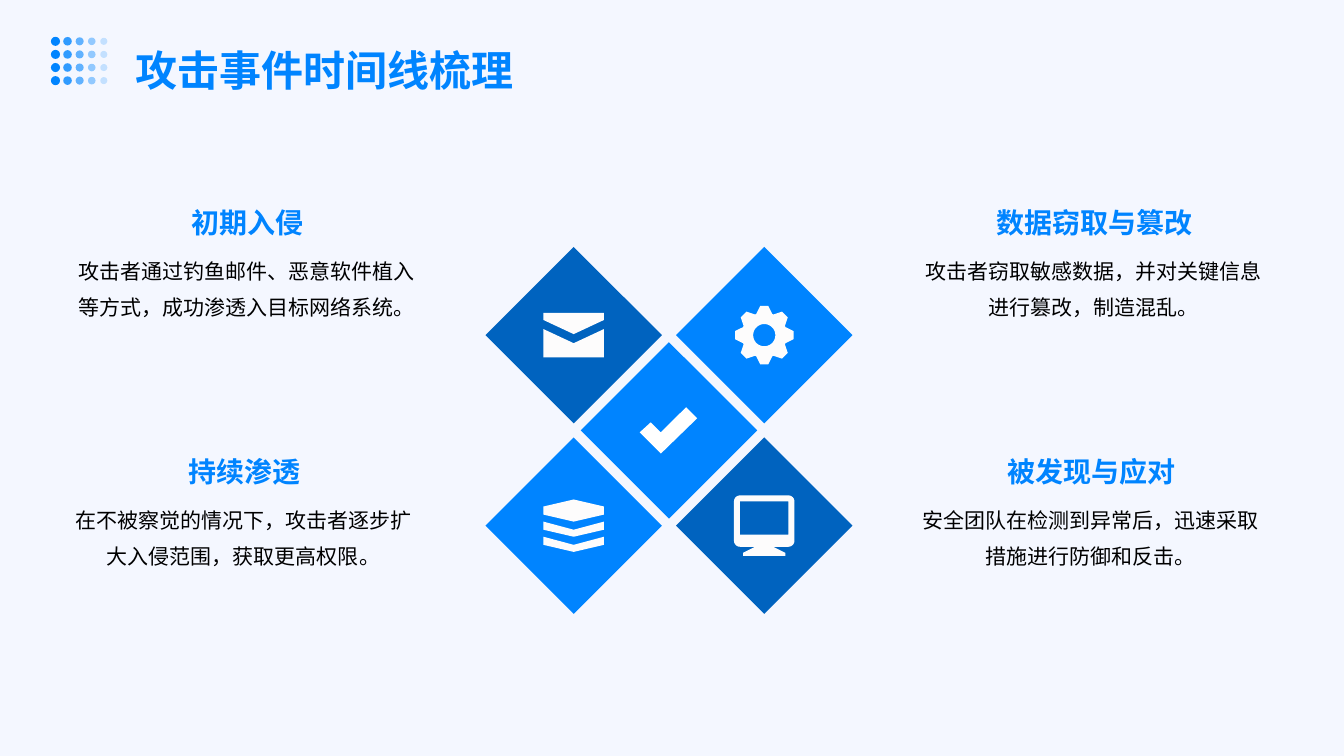
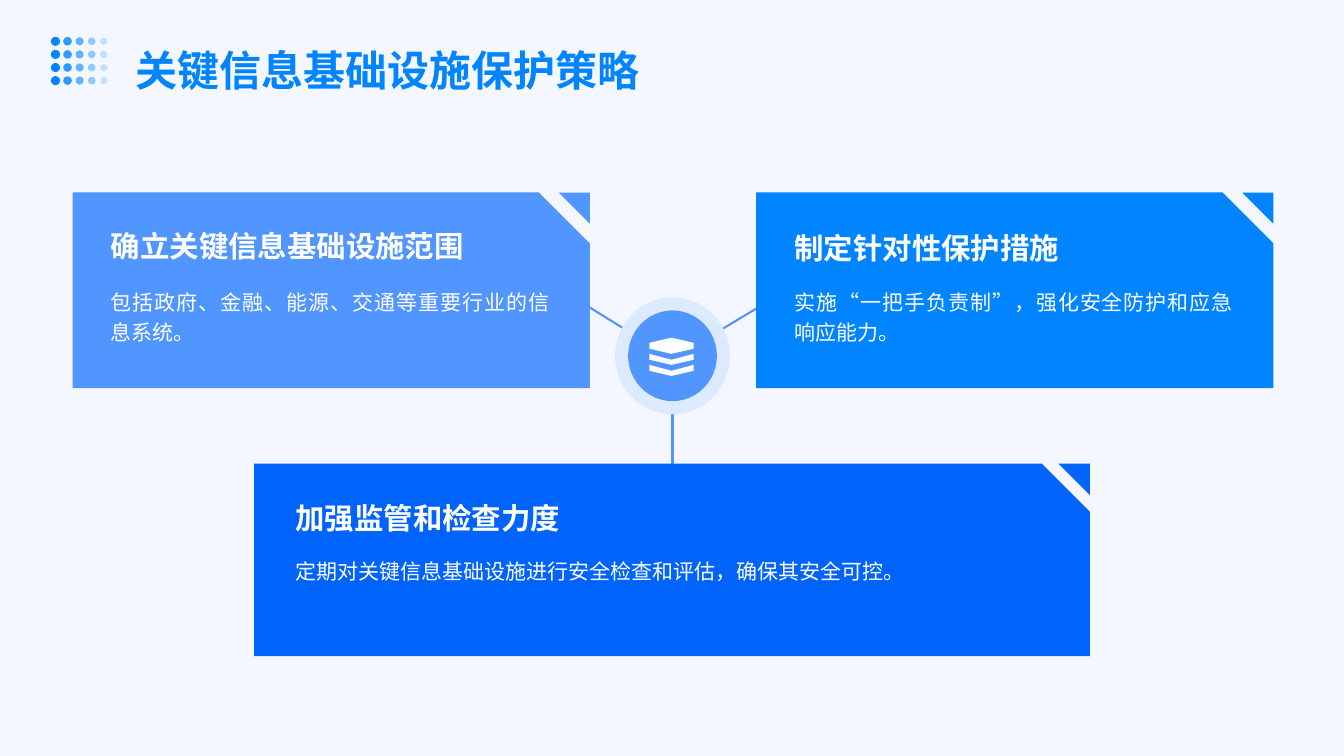
import math

import lxml.etree
import pptx
import pptx.dml.color
import pptx.enum.shapes
import pptx.enum.text
import pptx.oxml.ns
import pptx.util

Inches = pptx.util.Inches
SHAPE = pptx.enum.shapes.MSO_SHAPE
ALIGN = pptx.enum.text.PP_ALIGN
ANCHOR = pptx.enum.text.MSO_ANCHOR
qn = pptx.oxml.ns.qn

FONT = "Noto Sans CJK SC"
BACKGROUND = "F4F7FF"
BLUE = "0084FF"
DARK_BLUE = "0063BF"
LIGHT_BLUE = "5196FF"
DEEP_BLUE = "0064FC"
PALE_BLUE = "DCEAFF"
WHITE = "FFFFFF"
OFF_WHITE = "FDFCFC"
BLACK = "000000"
CARD_INSETS = (0.12, 0.06, 0.12, 0.06)


def rgb(color):
    return pptx.dml.color.RGBColor.from_string(color)


def paint(sp, color, alpha=100):
    sp.shadow.inherit = False
    sp.fill.solid()
    sp.fill.fore_color.rgb = rgb(color)
    sp.line.fill.background()
    if alpha < 100:
        clr = sp.fill._xPr.find(qn("a:solidFill"))[0]
        lxml.etree.SubElement(clr, qn("a:alpha")).set("val", str(alpha * 1000))


def add_shape(shapes, kind, x, y, w, h, color, alpha=100):
    sp = shapes.add_shape(kind, Inches(x), Inches(y), Inches(w), Inches(h))
    paint(sp, color, alpha)
    return sp


def add_centred(shapes, kind, cx, cy, w, h, color, alpha=100):
    return add_shape(shapes, kind, cx - w / 2, cy - h / 2, w, h, color, alpha)


def add_text(shapes, text, x, y, w, h, size=15, color=BLACK, bold=False,
             align=ALIGN.LEFT, anchor=ANCHOR.TOP, spacing=1.2,
             insets=(0.1, 0.05, 0.1, 0.05), grow=False):
    sp = shapes.add_textbox(Inches(x), Inches(y), Inches(w), Inches(h))
    tf = sp.text_frame
    tf.word_wrap = True
    tf.vertical_anchor = anchor
    if grow:
        tf.auto_size = pptx.enum.text.MSO_AUTO_SIZE.SHAPE_TO_FIT_TEXT
    tf.margin_left, tf.margin_top, tf.margin_right, tf.margin_bottom = map(Inches, insets)
    p = tf.paragraphs[0]
    p.alignment = align
    p.line_spacing = spacing
    r = p.add_run()
    r.text = text
    r.font.size = pptx.util.Pt(size)
    r.font.bold = bold
    r.font.color.rgb = rgb(color)
    r.font.name = FONT
    rPr = r._r.get_or_add_rPr()
    rPr.set("lang", "zh-CN")
    lxml.etree.SubElement(rPr, qn("a:ea")).set("typeface", FONT)


def add_line(s, start, end):
    line = s.shapes.add_connector(
        pptx.enum.shapes.MSO_CONNECTOR.STRAIGHT, *map(Inches, start + end))
    line.line.color.rgb = rgb(LIGHT_BLUE)
    line.line.width = pptx.util.Pt(1.5)
    lxml.etree.SubElement(line._element.spPr, qn("a:effectLst"))


def add_icon(s, outlines, cx, cy, color=OFF_WHITE, scale=1):
    fb = None
    for outline in outlines:
        points = [(Inches(cx + x * scale), Inches(cy + y * scale)) for x, y in outline]
        if fb is None:
            fb = s.shapes.build_freeform(*points[0])
        else:
            fb.move_to(*points[0])
        fb.add_line_segments(points[1:], close=True)
    paint(fb.convert_to_shape(), color)


def arc(cx, cy, radius, start, sweep, steps):
    angles = [math.radians(start + sweep * i / steps) for i in range(steps + 1)]
    return [(cx + radius * math.cos(a), cy + radius * math.sin(a)) for a in angles]


def envelope():
    flap = [(0, -0.01), (0.3, -0.15), (0.3, -0.22), (-0.3, -0.22), (-0.3, -0.15)]
    body = [(0, 0.08), (-0.3, -0.06), (-0.3, 0.22), (0.3, 0.22), (0.3, -0.06)]
    return [flap, body]


def gear():
    tooth = [(0.21, -0.08), (0.29, -0.04), (0.29, 0.04), (0.21, 0.08)]
    rim = []
    for i in range(8):
        c, n = math.cos(i * math.pi / 4), math.sin(i * math.pi / 4)
        rim += [(x * c - y * n, x * n + y * c) for x, y in tooth]
    return [rim, arc(0, 0, 0.11, 0, 360, 36)]


def check():
    return [[(-0.18, -0.08), (-0.29, 0.02), (-0.08, 0.23),
             (0.28, -0.12), (0.17, -0.23), (-0.08, 0.02)]]


def layers():
    top = [(-0.3, -0.19), (0, -0.26), (0.3, -0.19), (0.3, -0.11), (0, -0.04), (-0.3, -0.11)]
    chevron = [(-0.3, -0.04), (0, 0.04), (0.3, -0.04), (0.3, 0.04), (0, 0.11), (-0.3, 0.04)]
    return [top, chevron, [(x, y + 0.15) for x, y in chevron]]


def monitor():
    case = []
    corners = [(-0.24, -0.24), (0.24, -0.24), (0.24, 0.15), (-0.24, 0.15)]
    for i, (x, y) in enumerate(corners):
        case += arc(x, y, 0.06, 180 + 90 * i, 90, 6)
    screen = [(-0.24, -0.24), (-0.24, 0.09), (0.24, 0.09), (0.24, -0.24)]
    stand = [(-0.09, 0.21), (0.09, 0.21), (0.21, 0.27),
             (0.21, 0.3), (-0.21, 0.3), (-0.21, 0.27)]
    return [case, screen, stand]


def add_slide(prs):
    return prs.slides.add_slide(prs.slide_layouts[6])


def add_header(s, title):
    shapes = s.shapes.add_group_shape().shapes
    for row in range(4):
        for col in range(5):
            size = 0.09 - 0.005 * col
            add_centred(shapes, SHAPE.OVAL, 0.55 + 0.12 * col, 0.41 + 0.13 * row,
                        size, size, BLUE, 100 - 20 * col)
    add_text(shapes, title, 1.2, 0.1, 10.94, 1, size=30, color=BLUE, bold=True,
             spacing=1.4, insets=(0.14, 0.14, 0.06, 0.14), grow=True)


def add_stage(s, x, y, heading, body):
    add_text(s.shapes, body, x - 0.01, y + 0.55, 3.59, 1.77,
             align=ALIGN.CENTER, spacing=1.4)
    add_text(s.shapes, heading, x, y, 3.59, 0.61, size=20, color=BLUE, bold=True,
             align=ALIGN.CENTER, anchor=ANCHOR.MIDDLE)


def add_card(s, x, y, w, h, color, snip, heading, body, dx, heading_dy, body_dy,
             heading_w, body_w):
    card = add_shape(s.shapes, SHAPE.SNIP_1_RECTANGLE, x, y, w, h, color)
    card.adjustments[0] = snip
    corner = 0.31
    fold = add_shape(s.shapes, SHAPE.RIGHT_TRIANGLE, x + w - corner, y, corner, corner, color)
    fold.rotation = 180
    add_text(s.shapes, body, x + dx, y + body_dy, body_w, 0.77, color=WHITE,
             align=ALIGN.JUSTIFY, insets=CARD_INSETS, grow=True)
    add_text(s.shapes, heading, x + dx, y + heading_dy, heading_w, 0.57, size=21,
             color=WHITE, bold=True, insets=CARD_INSETS, grow=True)


def build_timeline(prs):
    s = add_slide(prs)
    cx, cy, step = 6.635, 4.27, 0.945
    tiles = [
        (0, 0, BLUE, check, WHITE),
        (-1, -1, DARK_BLUE, envelope, OFF_WHITE),
        (1, 1, DARK_BLUE, monitor, OFF_WHITE),
        (1, -1, BLUE, gear, OFF_WHITE),
        (-1, 1, BLUE, layers, OFF_WHITE),
    ]
    for col, row, color, icon, icon_color in tiles:
        x, y = cx + col * step, cy + row * step
        add_centred(s.shapes, SHAPE.DIAMOND, x, y, 1.75, 1.75, color)
        add_icon(s, icon(), x, y, icon_color)
    stages = [
        (0.66, 1.87, "初期入侵",
         "攻击者通过钓鱼邮件、恶意软件植入等方式，成功渗透入目标网络系统。"),
        (0.63, 4.34, "持续渗透",
         "在不被察觉的情况下，攻击者逐步扩大入侵范围，获取更高权限。"),
        (9.06, 1.87, "数据窃取与篡改",
         "攻击者窃取敏感数据，并对关键信息进行篡改，制造混乱。"),
        (9.03, 4.34, "被发现与应对",
         "安全团队在检测到异常后，迅速采取措施进行防御和反击。"),
    ]
    for stage in stages:
        add_stage(s, *stage)
    add_header(s, "攻击事件时间线梳理")


def build_strategy(prs):
    s = add_slide(prs)
    hub = (6.67, 3.56)
    for end in [(5.72, 2.97), (7.52, 3.05), (6.67, 4.81)]:
        add_line(s, hub, end)
    cards = [
        (0.72, 1.91, 5.13, 1.94, LIGHT_BLUE, 0.26, "确立关键信息基础设施范围",
         "包括政府、金融、能源、交通等重要行业的信息系统。",
         0.26, 0.22, 0.85, 4.21, 4.59),
        (7.5, 1.91, 5.13, 1.94, BLUE, 0.26, "制定针对性保护措施",
         "实施“一把手负责制”，强化安全防护和应急响应能力。",
         0.26, 0.24, 0.85, 4.32, 4.59),
        (2.52, 4.6, 8.29, 1.91, DEEP_BLUE, 0.25, "加强监管和检查力度",
         "定期对关键信息基础设施进行安全检查和评估，确保其安全可控。",
         0.29, 0.23, 0.83, 4.78, 7.52),
    ]
    for card in cards:
        add_card(s, *card)
    add_centred(s.shapes, SHAPE.OVAL, 6.67, 3.53, 1.14, 1.16, PALE_BLUE)
    add_centred(s.shapes, SHAPE.OVAL, 6.67, 3.53, 0.88, 0.9, LIGHT_BLUE)
    add_icon(s, layers(), 6.66, 3.54, WHITE, 0.73)
    add_header(s, "关键信息基础设施保护策略")


def main():
    prs = pptx.Presentation()
    prs.slide_width = Inches(13.33)
    prs.slide_height = Inches(7.5)
    fill = prs.slide_master.background.fill
    fill.solid()
    fill.fore_color.rgb = rgb(BACKGROUND)
    build_timeline(prs)
    build_strategy(prs)
    prs.save("out.pptx")


if __name__ == "__main__":
    main()
